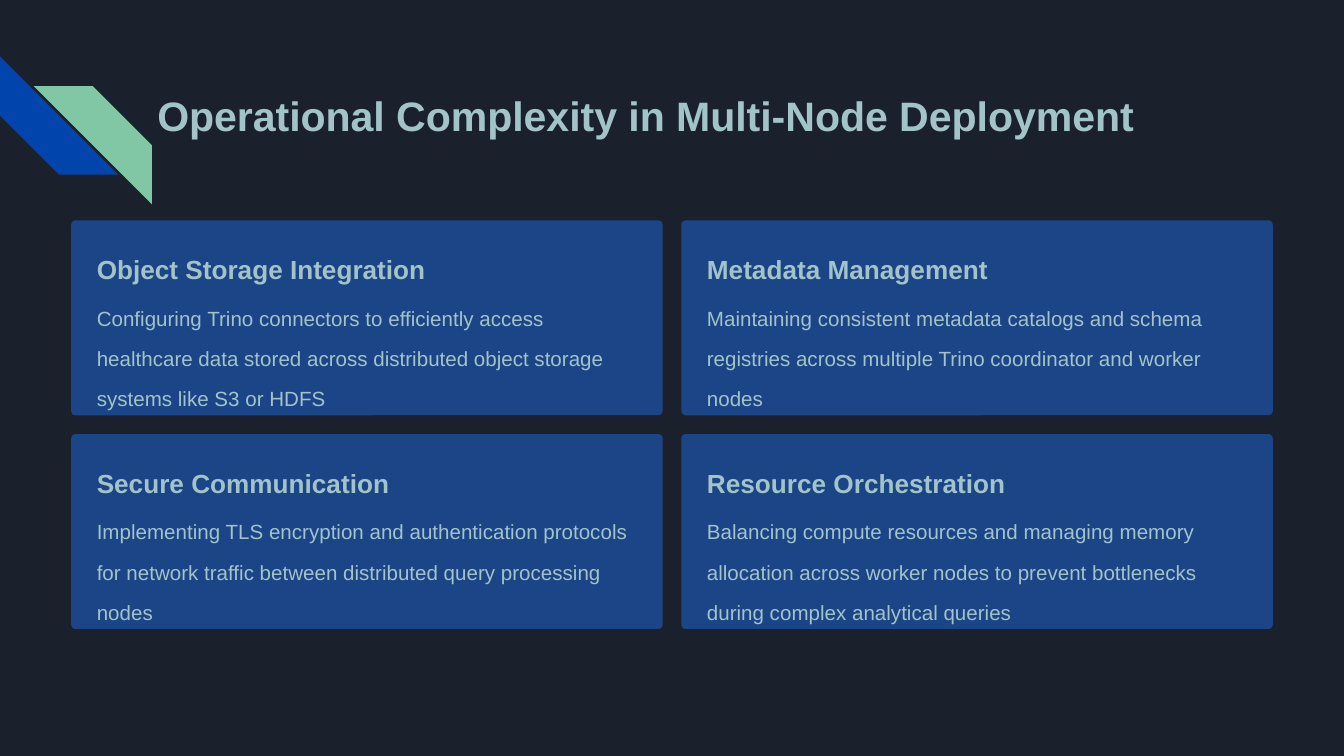
from pptx import Presentation, util as u
from pptx.dml.color import RGBColor
from pptx.enum import shapes, text

NIGHT = RGBColor(0x1B, 0x21, 0x2C)
BLUE = RGBColor(0x01, 0x45, 0xAC)
GREEN = RGBColor(0x82, 0xC7, 0xA5)
NAVY = RGBColor(0x1C, 0x45, 0x87)
MIST = RGBColor(0xA2, 0xC4, 0xC9)

WIDTH = 10
HEIGHT = WIDTH * 9 / 16
LEFT, TOP = 0.54, 1.65
CARD_W, CARD_H = 4.38, 1.43
COL_STEP = WIDTH - 2 * LEFT - CARD_W
ROW_STEP = 1.59
PAD = 0.18
COLUMNS = 2

TITLE = {"size": u.Pt(22), "bold": True}
HEADING = {"size": u.Pt(14), "bold": True}
BODY = {"size": u.Pt(11), "bold": False}

CARDS = [
    ("Object Storage Integration",
     "Configuring Trino connectors to efficiently access healthcare data stored "
     "across distributed object storage systems like S3 or HDFS"),
    ("Metadata Management",
     "Maintaining consistent metadata catalogs and schema registries across "
     "multiple Trino coordinator and worker nodes"),
    ("Secure Communication",
     "Implementing TLS encryption and authentication protocols for network "
     "traffic between distributed query processing nodes"),
    ("Resource Orchestration",
     "Balancing compute resources and managing memory allocation across worker "
     "nodes to prevent bottlenecks during complex analytical queries"),
]


def inches(*lengths):
    return [u.Inches(n) for n in lengths]


def write(sp, words, style, spacing):
    tf = sp.text_frame
    frame = {"word_wrap": True, "auto_size": text.MSO_AUTO_SIZE.NONE,
             "vertical_anchor": text.MSO_ANCHOR.TOP, "margin_left": 0,
             "margin_top": 0, "margin_right": 0, "margin_bottom": 0}
    for name, value in frame.items():
        setattr(tf, name, value)
    p = tf.paragraphs[0]
    p.alignment = text.PP_ALIGN.LEFT
    p.line_spacing = spacing
    r = p.add_run()
    r.text = words
    for name, value in {"name": "Arial", **style}.items():
        setattr(r.font, name, value)
    r.font.color.rgb = MIST


def add_title(s, words):
    sp = s.shapes.title
    sp.left, sp.top, sp.width, sp.height = inches(1.17, 0.58, 7.66, 0.41)
    write(sp, words, TITLE, 1.25)


def add_filled(s, kind, box, color, adjustment):
    sp = s.shapes.add_shape(kind, *inches(*box))
    sp.shadow.inherit = False
    sp.fill.solid()
    sp.fill.fore_color.rgb = color
    sp.adjustments[0] = adjustment
    return sp


def add_stripe(s, left, top, color):
    sp = add_filled(s, shapes.MSO_SHAPE.DIAGONAL_STRIPE,
                    (left, top, 0.88, 0.88), color, 0.5)
    sp.line.fill.background()
    return sp


def add_text(s, box, words, style, spacing):
    write(s.shapes.add_textbox(*inches(*box)), words, style, spacing)


def add_card(s, row, col, heading, body):
    x, y = LEFT + col * COL_STEP, TOP + row * ROW_STEP
    sp = add_filled(s, shapes.MSO_SHAPE.ROUNDED_RECTANGLE,
                    (x, y, CARD_W, CARD_H), NAVY, 0.016)
    sp.line.color.rgb = NAVY
    sp.line.width = u.Pt(1.5)
    inner = CARD_W - 2 * PAD
    add_text(s, (x + PAD, y + PAD, inner, 0.24), heading, HEADING, 1.25)
    add_text(s, (x + PAD, y + 0.51, inner, 0.74), body, BODY, 1.63)


def main():
    prs = Presentation()
    prs.slide_width, prs.slide_height = inches(WIDTH, HEIGHT)
    s = prs.slides.add_slide(prs.slide_layouts[5])
    s.background.fill.solid()
    s.background.fill.fore_color.rgb = NIGHT
    add_stripe(s, 0, 0.42, BLUE).rotation = 270
    mirrored = add_stripe(s, 0.25, 0.64, GREEN)
    mirrored.element.spPr.xfrm.set("flipH", "1")
    add_title(s, "Operational Complexity in Multi-Node Deployment")
    for i, (heading, body) in enumerate(CARDS):
        add_card(s, *divmod(i, COLUMNS), heading, body)
    prs.save("out.pptx")


if __name__ == "__main__":
    main()
